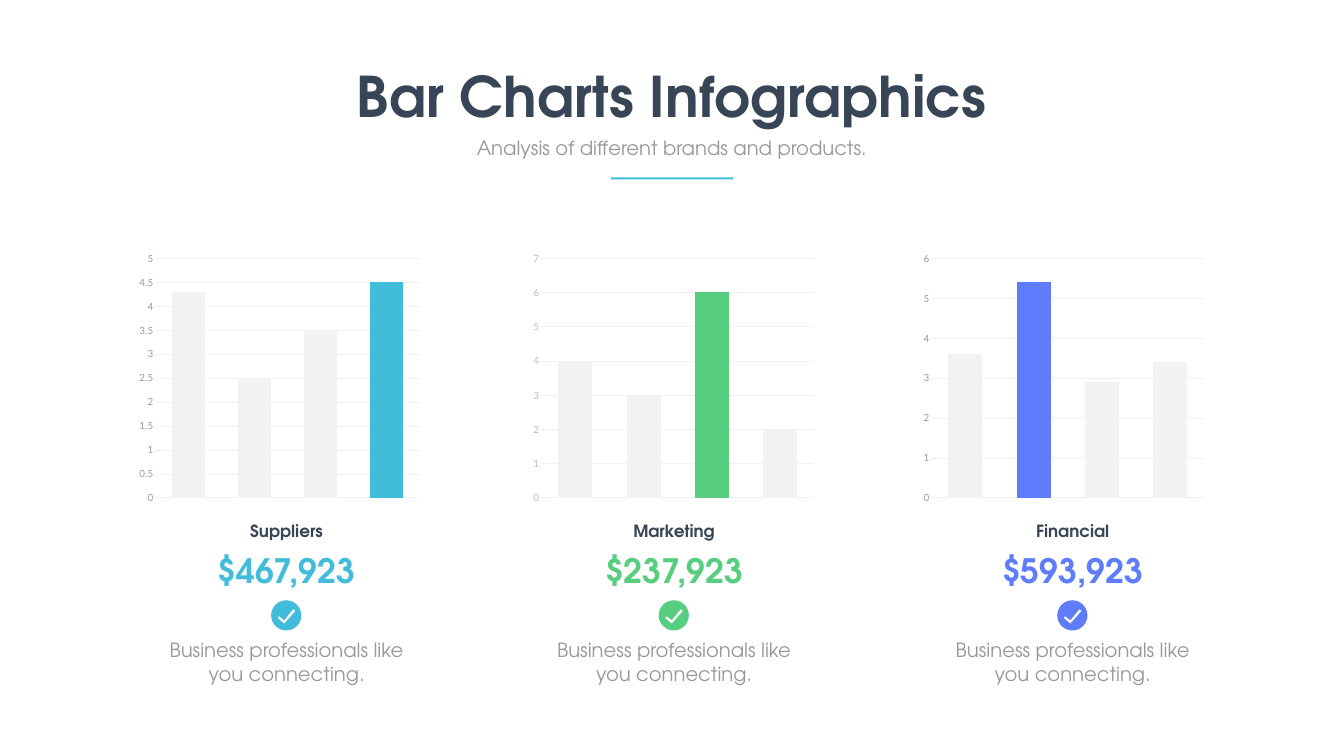
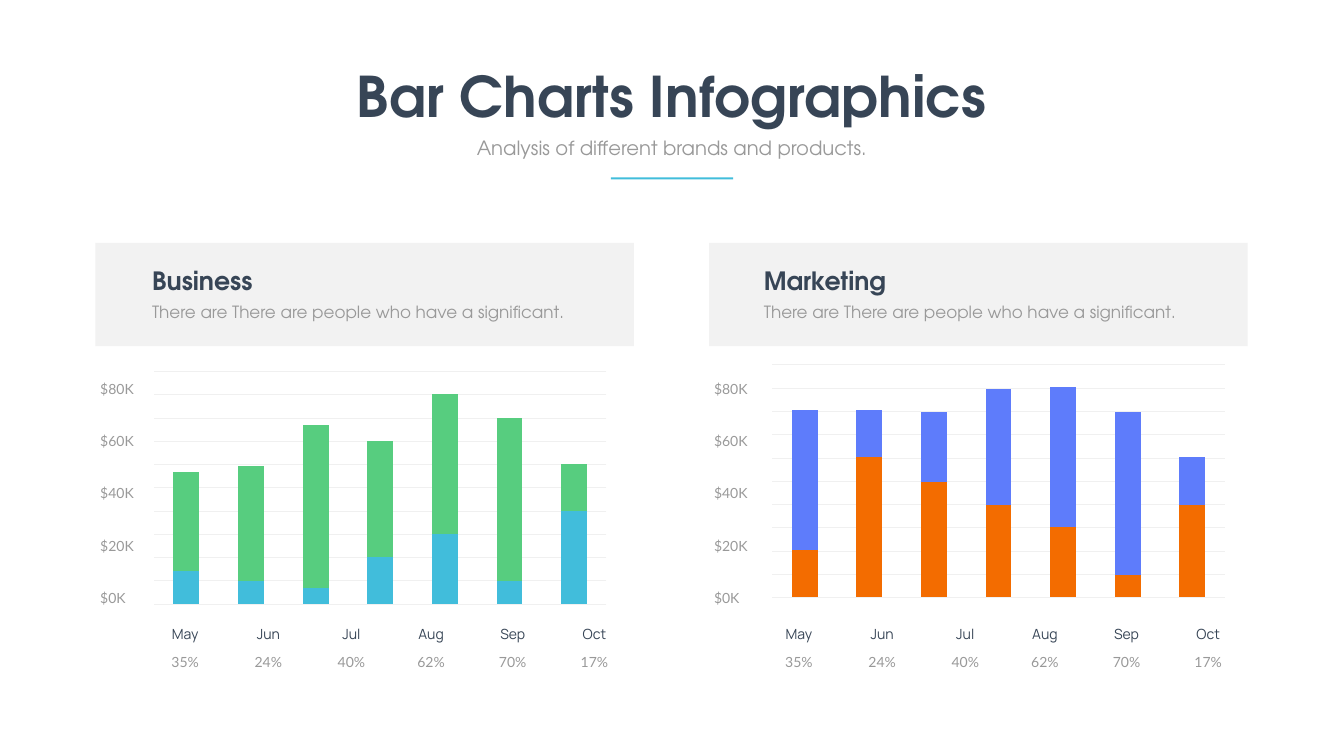
from pptx import Presentation
from pptx.chart.data import CategoryChartData
from pptx.dml.color import RGBColor
from pptx.enum.chart import XL_CHART_TYPE, XL_TICK_MARK
from pptx.enum.shapes import MSO_SHAPE
from pptx.enum.text import MSO_AUTO_SIZE, PP_ALIGN
from pptx.util import Inches, Pt

LEFT, CENTER = PP_ALIGN.LEFT, PP_ALIGN.CENTER
FIT_SHAPE = MSO_AUTO_SIZE.SHAPE_TO_FIT_TEXT
RECTANGLE, ELLIPSE = MSO_SHAPE.RECTANGLE, MSO_SHAPE.OVAL
STACKED = XL_CHART_TYPE.COLUMN_STACKED
NO_TICK = XL_TICK_MARK.NONE

NAVY, GRAY, LIGHT_GRAY, PALE, GRID = "374556", "999999", "BDBDBD", "F2F2F2", "F0F0F0"
CYAN, GREEN, BLUE, ORANGE, WHITE = "41BDDB", "57CD7F", "5E7CFB", "F36C00", "FFFFFF"
HEADING_FONT, NUMBER_FONT, MONTH_FONT = "TeX Gyre Adventor", "Lato", "Manrope"

color = RGBColor.from_string


def add_text(slide, text, left, top, width, height, size=28, font=HEADING_FONT,
             fill=GRAY, bold=False, align=CENTER, line=None, wrap=True):
    box = slide.shapes.add_textbox(Inches(left), Inches(top), Inches(width), Inches(height))
    frame = box.text_frame
    frame.word_wrap = wrap
    frame.auto_size = FIT_SHAPE
    paragraph = frame.paragraphs[0]
    paragraph.alignment = align
    if line:
        paragraph.line_spacing = Pt(line)
    run = paragraph.add_run()
    run.text = text
    run.font.name = font
    run.font.size = Pt(size)
    run.font.bold = bold
    run.font.color.rgb = color(fill)


def paint(shape, fill):
    shape.shadow.inherit = False
    shape.fill.solid()
    shape.fill.fore_color.rgb = color(fill)
    shape.line.fill.background()


presentation = Presentation()
presentation.slide_width = Inches(26.67)
presentation.slide_height = Inches(15)
blank = presentation.slide_layouts[6]
summary_slide = presentation.slides.add_slide(blank)
monthly_slide = presentation.slides.add_slide(blank)

for slide in (summary_slide, monthly_slide):
    add_text(slide, "Bar Charts Infographics", 6.92, 1.17, 12.82, 1.45,
             size=80, fill=NAVY, bold=True, wrap=False)
    add_text(slide, "Analysis of different brands and products.", 8.55, 2.65, 9.56, 0.57)
    rule = slide.shapes.add_shape(RECTANGLE, Inches(12.12), Inches(3.52),
                                  Inches(2.43), Inches(0.04))
    paint(rule, CYAN)

charts = []

departments = [
    ("Suppliers", "$467,923", CYAN, 5.68, 2.65, [4.3, 2.5, 3.5, 4.5], 3, 5, 0.5, GRAY),
    ("Marketing", "$237,923", GREEN, 13.37, 10.47, [4, 3, 6, 2], 2, 7, 1, LIGHT_GRAY),
    ("Financial", "$593,923", BLUE, 21.28, 18.21, [3.6, 5.4, 2.9, 3.4], 1, 6, 1, GRAY),
]
check_outline = [(0.44, 0.18), (0.48, 0.21), (0.26, 0.46),
                 (0.13, 0.35), (0.16, 0.32), (0.26, 0.40)]

for name, amount, accent, middle, chart_left, values, peak, top_value, step, label_color in departments:
    add_text(summary_slide, amount, middle - 2.42, 10.87, 4.85, 0.91,
             size=48, fill=accent, bold=True)
    add_text(summary_slide, name, middle - 2.42, 10.29, 4.85, 0.5,
             size=24, fill=NAVY, bold=True)
    add_text(summary_slide, "Business professionals like you connecting.",
             middle - 2.72, 12.61, 5.45, 1.04)

    badge = summary_slide.shapes.add_group_shape()
    badge_left, badge_top = middle - 0.3, 11.91
    circle = badge.shapes.add_shape(ELLIPSE, Inches(badge_left), Inches(badge_top),
                                    Inches(0.6), Inches(0.6))
    paint(circle, accent)
    points = [(Inches(badge_left + x), Inches(badge_top + y)) for x, y in check_outline]
    builder = badge.shapes.build_freeform(*points[0])
    builder.add_line_segments(points[1:], close=True)
    paint(builder.convert_to_shape(), WHITE)

    charts.append(dict(slide=summary_slide, at=(chart_left, 4.9, 5.8, 5.2), gap=100,
                       series=[(PALE, values)], highlight=(peak, accent),
                       maximum=top_value, step=step, labels=label_color,
                       font=NUMBER_FONT, size=14))

months = [("May", "35%", 1.31), ("Jun", "24%", 2.96), ("Jul", "40%", 4.61),
          ("Aug", "62%", 6.19), ("Sep", "70%", 7.81), ("Oct", "17%", 9.43)]
panels = [
    ("Business", 1.89, 2.92, (2.87, 7.27),
     [(CYAN, [20, 14, 10, 29, 43, 14, 57]), (GREEN, [61, 71, 100, 71, 86, 100, 29])]),
    ("Marketing", 14.07, 15.06, (15.14, 7.14),
     [(ORANGE, [29, 86, 71, 57, 43, 14, 57]), (BLUE, [86, 29, 43, 71, 86, 100, 29])]),
]

for name, panel_left, text_left, chart_corner, series in panels:
    for row, label in enumerate(["$80K", "$60K", "$40K", "$20K", "$0K"]):
        add_text(monthly_slide, label, panel_left, 7.26 + 1.04 * row, 0.95, 0.55,
                 size=20, font=NUMBER_FONT, align=LEFT, line=40.8)
    for month, share, offset in months:
        add_text(monthly_slide, month, panel_left + offset, 12.12, 0.95, 0.56,
                 size=20, font=MONTH_FONT, fill=NAVY, line=40.8)
        add_text(monthly_slide, share, panel_left + offset, 12.69, 0.95, 0.54,
                 size=20, font=NUMBER_FONT, line=40.8)

    band = monthly_slide.shapes.add_shape(RECTANGLE, Inches(panel_left), Inches(4.82),
                                          Inches(10.69), Inches(2.05))
    paint(band, PALE)
    add_text(monthly_slide, name, text_left, 5.22, 5.52, 0.71,
             size=36, fill=NAVY, bold=True, align=LEFT)
    add_text(monthly_slide, "There are There are people who have a significant.",
             text_left, 5.93, 8.66, 0.5, size=24, align=LEFT)

    charts.append(dict(slide=monthly_slide, at=(*chart_corner, 9.35, 4.81), gap=150,
                       series=series, highlight=None, maximum=143, step=14.3,
                       labels=None, font="Calibri", size=10))

for item in charts:
    data = CategoryChartData()
    data.categories = [str(n + 1) for n in range(len(item["series"][0][1]))]
    for number, (fill, values) in enumerate(item["series"], start=1):
        data.add_series(f"Series {number}", values)
    frame = item["slide"].shapes.add_chart(STACKED, *map(Inches, item["at"]), data)
    chart = frame.chart
    chart.has_legend = False
    chart.has_title = False
    chart.font.name = item["font"]
    chart.font.size = Pt(item["size"])
    chart.font.color.rgb = color(GRAY)
    chart.category_axis.visible = False

    axis = chart.value_axis
    axis.minimum_scale = 0
    axis.maximum_scale = item["maximum"]
    axis.major_unit = item["step"]
    axis.major_tick_mark = NO_TICK
    axis.format.line.fill.background()
    axis.major_gridlines.format.line.color.rgb = color(GRID)
    axis.major_gridlines.format.line.width = Pt(0.75)
    if item["labels"]:
        axis.tick_labels.font.name = item["font"]
        axis.tick_labels.font.size = Pt(item["size"])
        axis.tick_labels.font.color.rgb = color(item["labels"])
    else:
        axis.visible = False

    plot = chart.plots[0]
    plot.vary_by_categories = False
    plot.gap_width = item["gap"]
    plot.overlap = 100
    for series, (fill, values) in zip(plot.series, item["series"]):
        series.invert_if_negative = False
        series.format.fill.solid()
        series.format.fill.fore_color.rgb = color(fill)
    if item["highlight"]:
        peak, accent = item["highlight"]
        bar = plot.series[0].points[peak].format.fill
        bar.solid()
        bar.fore_color.rgb = color(accent)

presentation.save("out.pptx")
